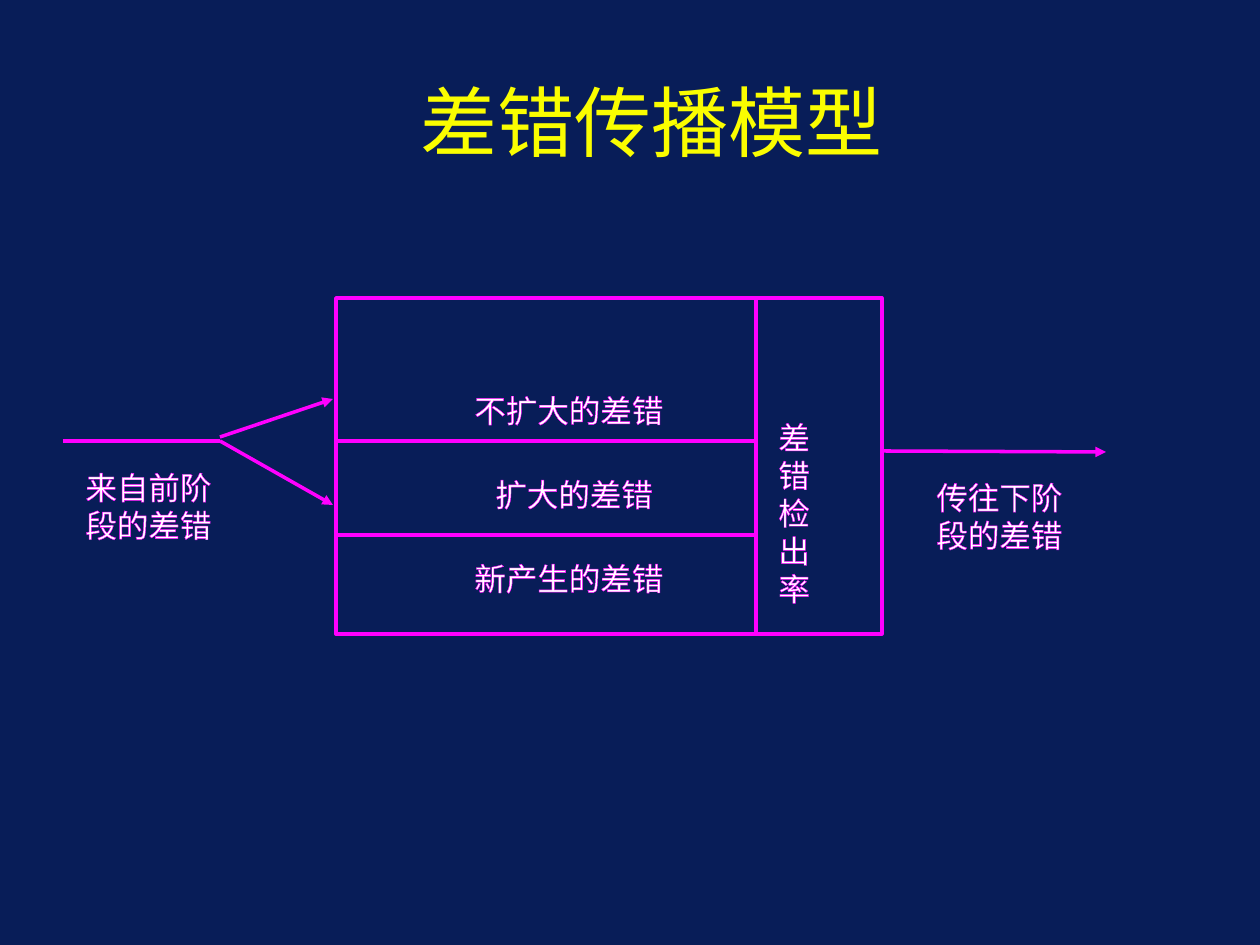
import pptx
import pptx.util
import pptx.dml.color
import pptx.enum.shapes
import pptx.enum.text
import pptx.oxml
import pptx.oxml.ns

PX = 914400 // 126
FONT = "Noto Sans CJK SC"
NAVY, YELLOW, WHITE, MAGENTA = "081D58", "FAFD00", "FFFFFF", "FF00FF"
LINE_WIDTH = 2
ALIGN = pptx.enum.text.PP_ALIGN
ANCHOR = pptx.enum.text.MSO_ANCHOR


def px(n):
    return pptx.util.Emu(n * PX)


def rgb(value):
    return pptx.dml.color.RGBColor.from_string(value)


def drawing_xml(body):
    """Make a DrawingML element from the markup after its a: prefix."""
    return pptx.oxml.parse_xml(f"<a:{body}".replace(" ", f' {pptx.oxml.ns.nsdecls("a")} ', 1))


def style_line(line):
    line.color.rgb = rgb(MAGENTA)
    line.width = pptx.util.Pt(LINE_WIDTH)


def add_frame(s, left, top, width, height):
    sp = s.shapes.add_shape(pptx.enum.shapes.MSO_SHAPE.RECTANGLE,
                            px(left), px(top), px(width), px(height))
    sp.shadow.inherit = False
    sp.fill.background()
    style_line(sp.line)


def add_line(s, x1, y1, x2, y2, arrow=False):
    c = s.shapes.add_connector(pptx.enum.shapes.MSO_CONNECTOR.STRAIGHT,
                               px(x1), px(y1), px(x2), px(y2))
    style_line(c.line)
    if arrow:
        c.line._get_or_add_ln().append(drawing_xml('tailEnd type="triangle"/>'))
    c._element.spPr.append(drawing_xml("effectLst />"))


def add_text(s, box, lines, size, color, outline=None, align=ALIGN.LEFT,
             anchor=ANCHOR.TOP, wrap=False):
    tf = s.shapes.add_textbox(*map(px, box)).text_frame
    frame_format = {"word_wrap": wrap, "vertical_anchor": anchor}
    for name, value in frame_format.items():
        setattr(tf, name, value)
    for i, text in enumerate(lines):
        p = tf.add_paragraph() if i else tf.paragraphs[0]
        p.alignment = align
        r = p.add_run()
        r.text = text
        for name, value in {"size": pptx.util.Pt(size), "name": FONT}.items():
            setattr(r.font, name, value)
        r.font.color.rgb = rgb(color)
        rPr = r._r.get_or_add_rPr()
        rPr.append(drawing_xml(f'ea typeface="{FONT}"/>'))
        if outline:
            rPr.insert(0, drawing_xml(
                f'ln w="{pptx.util.Pt(LINE_WIDTH)}"><a:solidFill>'
                f'<a:srgbClr val="{outline}"/></a:solidFill></a:ln>'))


def main():
    prs = pptx.Presentation()
    prs.slide_width, prs.slide_height = pptx.util.Inches(10), pptx.util.Inches(7.5)
    s = prs.slides.add_slide(prs.slide_layouts[6])
    s.background.fill.solid()
    s.background.fill.fore_color.rgb = rgb(NAVY)

    # Title
    add_text(s, (116, 42, 1071, 157), ["差错传播模型"], 44, YELLOW,
             align=ALIGN.CENTER, anchor=ANCHOR.MIDDLE, wrap=True)

    # Stage frame with its dividers
    left, top, width, height, divider = 336, 298, 546, 336, 756
    right = left + width
    add_frame(s, left, top, width, height)
    add_line(s, divider, top, divider, top + height)
    for y in (441, 535):
        add_line(s, left, y, divider, y)

    # Errors flowing out and in
    fork = 220
    add_line(s, right, 451, 1106, 452, arrow=True)
    add_line(s, 63, 441, fork, 441)
    for start, end in ((437, 399), (441, 505)):
        add_line(s, fork, start, 333, end, arrow=True)

    # Labels
    labels = [
        ((924, 472, 168, 77), ["传往下阶", "段的差错"]),
        ((73, 462, 168, 77), ["来自前阶", "段的差错"]),
        ((462, 385, 252, 39), ["不扩大的差错"]),
        ((483, 469, 210, 39), ["扩大的差错"]),
        ((462, 553, 252, 39), ["新产生的差错"]),
        ((766, 412, 84, 116), ["差错", "检出", "率"]),
    ]
    for box, lines in labels:
        add_text(s, box, lines, 18, WHITE, outline=MAGENTA)

    prs.save("out.pptx")


if __name__ == "__main__":
    main()
